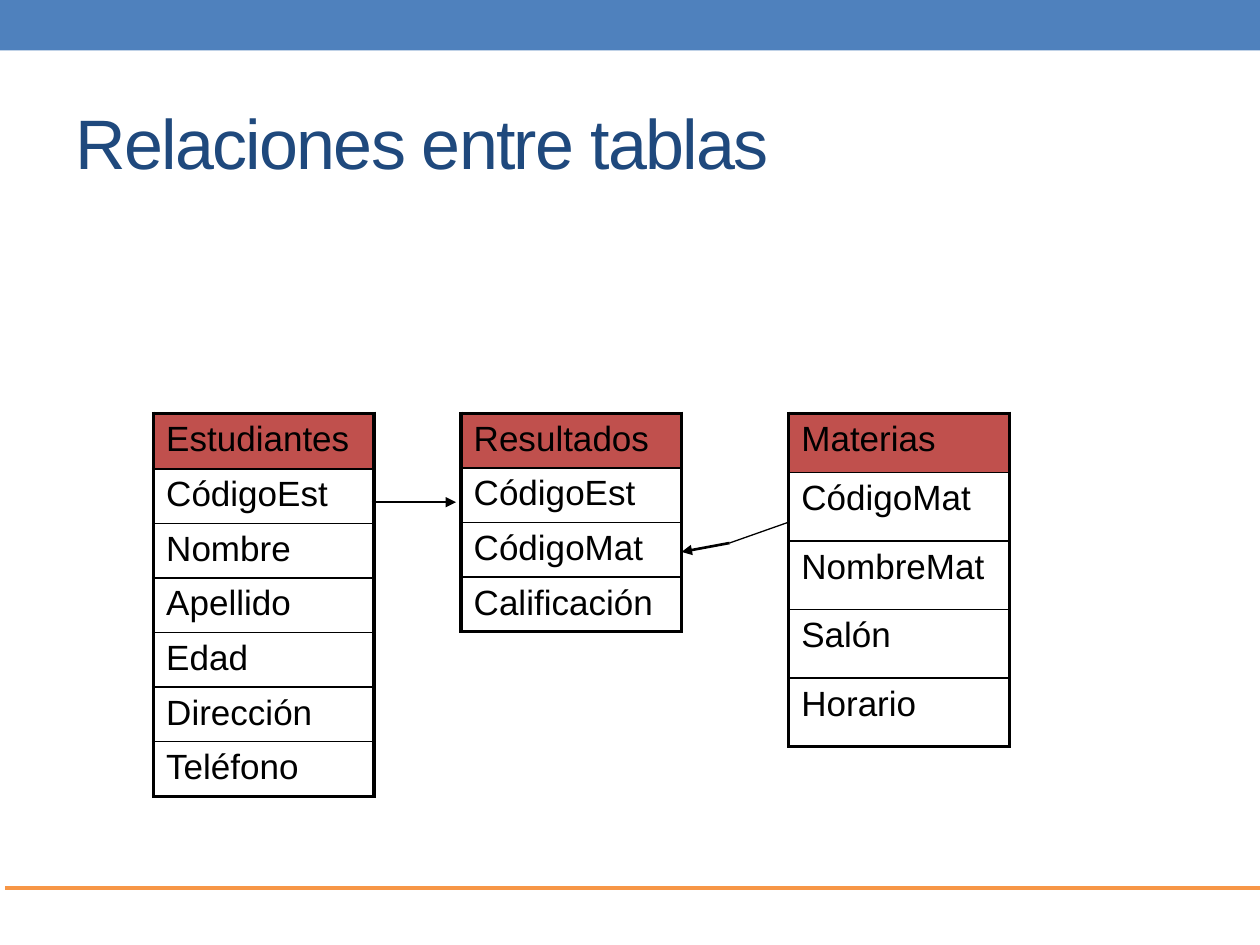
from lxml.etree import SubElement
from pptx import Presentation
from pptx.dml.color import RGBColor
from pptx.enum.shapes import MSO_CONNECTOR as CONN, MSO_SHAPE as SHAPE
from pptx.enum.text import MSO_ANCHOR as ANCHOR, PP_ALIGN as ALIGN
from pptx.oxml.ns import qn
from pptx.util import Pt

COLORS = {"bar": "4F81BD", "rule": "F79646", "title": "1F497D",
          "header": "C0504D", "ink": "000000"}
FONT = "Arial"
TITLE = "Relaciones entre tablas"
TABLE_TOP, TABLE_W = 236.2, 126
THICK, THIN = 2.25, 1

# left, row heights, rows (the first one is the table name)
TABLES = [
    (87.8, [31.7] + [31.2] * 6, ["Estudiantes", "CódigoEst", "Nombre", "Apellido",
                                 "Edad", "Dirección", "Teléfono"]),
    (263.5, [31.2] * 4, ["Resultados", "CódigoEst", "CódigoMat", "Calificación"]),
    (450.7, [33.8] + [39.2] * 4, ["Materias", "CódigoMat", "NombreMat", "Salón", "Horario"]),
]
# from, to, width, arrowhead
LINKS = [
    ((212.4, 287), (260.6, 287), 1, True),
    ((450.7, 298.4), (416.9, 310.3), 0.75, False),
    ((416.9, 310.3), (389.5, 315.4), 1.5, True),
]


def rgb(name):
    return RGBColor.from_string(COLORS[name])


def add_run(p, text, size, color):
    r = p.add_run()
    r.text = text
    r.font.name, r.font.size = FONT, Pt(size)
    r.font.color.rgb = rgb(color)
    return r


def add_line(s, start, end, color, width, arrow=False):
    line = s.shapes.add_connector(CONN.STRAIGHT, *map(Pt, start + end))
    line.line.color.rgb, line.line.width = rgb(color), Pt(width)
    if arrow:
        SubElement(line.line._get_or_add_ln(), qn("a:tailEnd"), type="triangle")
    SubElement(line._element.spPr, qn("a:effectLst"))


def set_borders(cell, widths):
    tcPr = cell._tc.get_or_add_tcPr()
    for i, (side, width) in enumerate(widths.items()):
        ln = tcPr.makeelement(qn(f"a:ln{side}"), {"w": str(Pt(width))})
        fill = SubElement(ln, qn("a:solidFill"))
        SubElement(fill, qn("a:srgbClr"), val=COLORS["ink"])
        tcPr.insert(i, ln)


def add_entity(s, left, heights, names):
    frame = s.shapes.add_table(len(names), 1, Pt(left), Pt(TABLE_TOP),
                               Pt(TABLE_W), Pt(sum(heights)))
    table = frame.table
    table.first_row = table.horz_banding = False
    last = len(names) - 1
    for i, (name, height) in enumerate(zip(names, heights)):
        table.rows[i].height = Pt(height)
        cell = table.cell(i, 0)
        if i == 0:
            cell.fill.solid()
            cell.fill.fore_color.rgb = rgb("header")
        else:
            cell.fill.background()
        set_borders(cell, {"L": THICK, "R": THICK,
                           "T": THICK if i == 0 else THIN,
                           "B": THICK if i == last else THIN})
        p = cell.text_frame.paragraphs[0]
        # space before, as a share of the text size
        before = SubElement(p._p.get_or_add_pPr(), qn("a:spcBef"))
        SubElement(before, qn("a:spcPct"), val="20000")
        add_run(p, name, 20, "ink")


def main():
    prs = Presentation()
    prs.slide_width, prs.slide_height = Pt(720), Pt(540)
    s = prs.slides.add_slide(prs.slide_layouts[5])

    # Top bar and bottom rule
    bar = s.shapes.add_shape(SHAPE.RECTANGLE, 0, 0, Pt(720), Pt(28.8))
    bar.shadow.inherit = False
    bar.fill.solid()
    bar.fill.fore_color.rgb = rgb("bar")
    bar.line.fill.background()
    add_line(s, (2.9, 507.6), (722.9, 507.6), "rule", 2.25)

    # Title
    title = s.shapes.title
    title.left, title.top, title.width, title.height = map(Pt, (36, 41.8, 648, 77.8))
    tf = title.text_frame
    tf.word_wrap, tf.vertical_anchor = True, ANCHOR.MIDDLE
    p = tf.paragraphs[0]
    p.alignment = ALIGN.LEFT
    r = add_run(p, TITLE, 40, "title")
    r.font._element.set("spc", "-100")

    # Tables and the relations between them
    for entity in TABLES:
        add_entity(s, *entity)
    for start, end, width, arrow in LINKS:
        add_line(s, start, end, "ink", width, arrow)

    prs.save("out.pptx")


if __name__ == "__main__":
    main()
